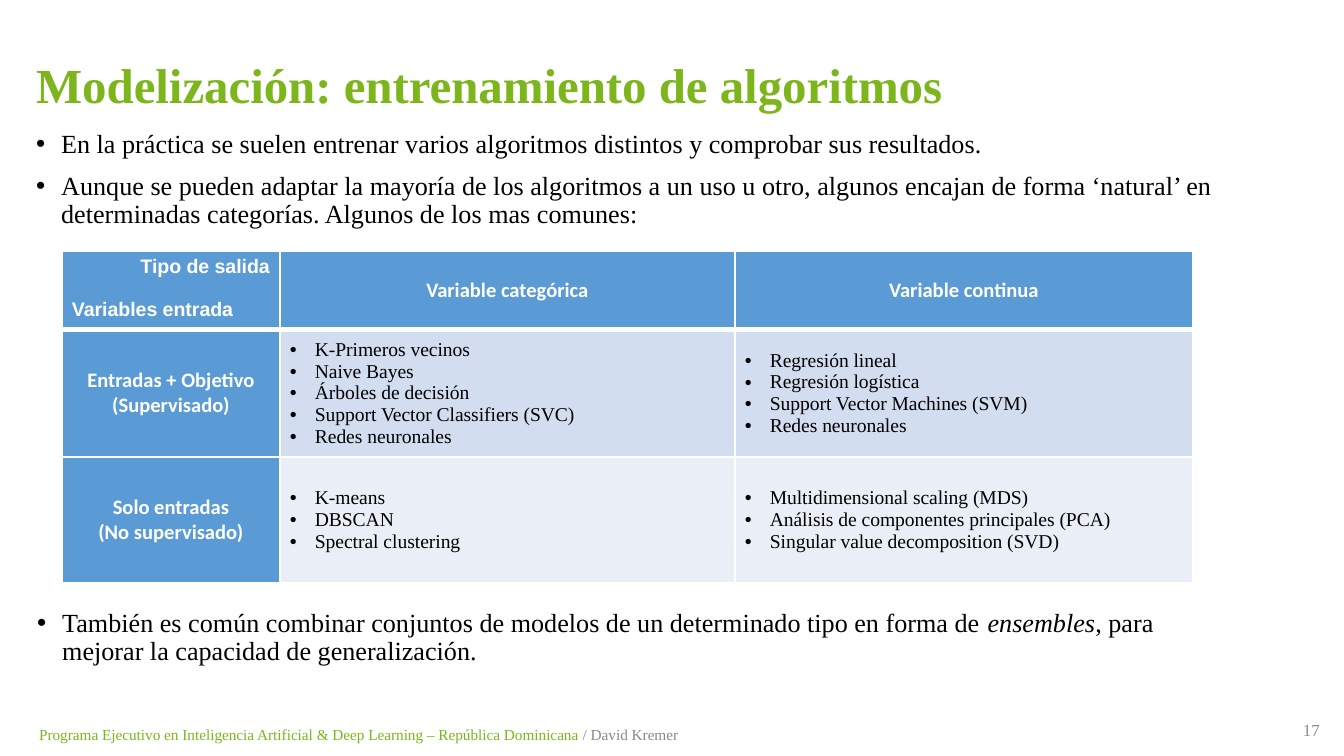
from lxml.etree import SubElement
from pptx import Presentation
from pptx.dml.color import RGBColor
from pptx.enum.text import MSO_ANCHOR, PP_ALIGN
from pptx.oxml import parse_xml
from pptx.oxml.ns import nsdecls, qn
from pptx.util import Emu, Pt

SERIF, SANS, HEADING = "Times New Roman", "Arial", "Calibri"
GREEN, BLUE, WHITE, BLACK = "7DB61C", "5B9BD5", "FFFFFF", "000000"


def px(pixels):
    return Emu(round(pixels * 914400 / 134.4))


def color(value):
    return RGBColor.from_string(value)


def assign(target, values):
    for name, value in values.items():
        setattr(target, name, value)


class SlideWriter:
    """Holds the text style and the current slide."""

    base = dict(name=SERIF, size=Pt(14), bold=False, italic=False, color=BLACK)
    bullet_indent = 25

    def __init__(self, slide):
        self.slide = slide

    def paragraph(self, frame, first, runs, style, layout, bullet=False):
        para = frame.paragraphs[0] if first else frame.add_paragraph()
        assign(para, layout)
        if bullet:
            props = para._p.get_or_add_pPr()
            indent = px(self.bullet_indent)
            props.set("marL", str(indent))
            props.set("indent", str(-indent))
            SubElement(props, qn("a:buFont"), typeface=SANS)
            SubElement(props, qn("a:buChar"), char="•")
        for text, changes in runs:
            font_values = {**self.base, **style, **changes}
            run = para.add_run()
            run.text = text
            run.font.color.rgb = color(font_values.pop("color"))
            assign(run.font, font_values)

    def text(self, box, paragraphs, style={}, layout={}, anchor=MSO_ANCHOR.TOP, bullet=False):
        frame = self.slide.shapes.add_textbox(*map(px, box)).text_frame
        assign(frame, dict(word_wrap=True, vertical_anchor=anchor))
        for i, runs in enumerate(paragraphs):
            self.paragraph(frame, i == 0, runs, style, layout, bullet)

    def table(self, box, widths, heights):
        graphic = self.slide.shapes.add_table(len(heights), len(widths), *map(px, box))
        for column, width in zip(graphic.table.columns, widths):
            column.width = px(width)
        for row, height in zip(graphic.table.rows, heights):
            row.height = px(height)
        graphic.height = px(box[3])
        return graphic.table

    def cell(self, cell, lines, fill, style, layouts, borders,
             anchor=MSO_ANCHOR.MIDDLE, bullet=False):
        assign(cell, dict(margin_left=px(10), margin_right=px(10), margin_top=px(5),
                          margin_bottom=px(5), vertical_anchor=anchor))
        cell.fill.solid()
        cell.fill.fore_color.rgb = color(fill)
        for i, line in enumerate(lines):
            layout = layouts[min(i, len(layouts) - 1)]
            self.paragraph(cell.text_frame, i == 0, [(line, {})], style, layout, bullet)
        props = cell._tc.get_or_add_tcPr()
        for i, (side, width) in enumerate(zip("LRTB", borders)):
            props.insert(i, parse_xml(
                f'<a:ln{side} {nsdecls("a")} w="{Pt(width)}"><a:solidFill>'
                f'<a:srgbClr val="{WHITE}"/></a:solidFill></a:ln{side}>'))


deck = Presentation()
deck.slide_width, deck.slide_height = px(1344), px(756)
writer = SlideWriter(deck.slides.add_slide(deck.slide_layouts[6]))

# Footer and page number
writer.text((26, 714, 968, 36),
            [[("Programa Ejecutivo en Inteligencia Artificial & Deep Learning – "
               "República Dominicana ", {}), ("/ David Kremer", dict(color="898989"))]],
            dict(size=Pt(8.2), color=GREEN), anchor=MSO_ANCHOR.BOTTOM)
writer.text((1261, 710, 72, 40), [[("17", {})]], dict(size=Pt(9), color="8C8C8C"),
            dict(alignment=PP_ALIGN.RIGHT), MSO_ANCHOR.MIDDLE)

# Title
writer.text((23, 15, 1306, 146), [[("Modelización: entrenamiento de algoritmos", {})]],
            dict(size=Pt(26.2), bold=True, color=GREEN), dict(line_spacing=0.9),
            MSO_ANCHOR.MIDDLE)

# Table of algorithms
rows = [
    (["Tipo de salida", "Variables entrada"], ["Variable categórica"], ["Variable continua"]),
    (["Entradas + Objetivo", "(Supervisado)"],
     ["K-Primeros vecinos", "Naive Bayes", "Árboles de decisión",
      "Support Vector Classifiers (SVC)", "Redes neuronales"],
     ["Regresión lineal", "Regresión logística", "Support Vector Machines (SVM)",
      "Redes neuronales"]),
    (["Solo entradas", "(No supervisado)"],
     ["K-means", "DBSCAN", "Spectral clustering"],
     ["Multidimensional scaling (MDS)", "Análisis de componentes principales (PCA)",
      "Singular value decomposition (SVD)"]),
]
row_fills = [BLUE, "D2DEEF", "EAEFF7"]
heading = dict(name=HEADING, size=Pt(11), bold=True, color=WHITE)
corner = dict(heading, name=SANS, size=Pt(10.5))
centered = [dict(alignment=PP_ALIGN.CENTER)]
diagonal = [dict(alignment=PP_ALIGN.RIGHT),
            dict(alignment=PP_ALIGN.LEFT, space_before=Pt(11.5))]

algorithms = writer.table((62, 251, 1131, 335), [218, 455, 458], [69, 126, 126])
for r, row in enumerate(rows):
    borders = (1, 1, 3 if r == 1 else 1, 3 if r == 0 else 1)
    for c, lines in enumerate(row):
        cell = algorithms.cell(r, c)
        if r == c == 0:
            writer.cell(cell, lines, BLUE, corner, diagonal, borders, MSO_ANCHOR.TOP)
        elif r == 0 or c == 0:
            writer.cell(cell, lines, BLUE, heading, centered, borders)
        else:
            writer.cell(cell, lines, row_fills[r], dict(size=Pt(10.5)), [{}], borders,
                        bullet=True)

# Bulleted remarks above and below the table
remark = dict(line_spacing=0.9, space_before=Pt(7.5))
writer.text((23, 124, 1210, 126), [
    [("En la práctica se suelen entrenar varios algoritmos distintos y comprobar "
      "sus resultados.", {})],
    [("Aunque se pueden adaptar la mayoría de los algoritmos a un uso u otro, algunos "
      "encajan de forma ‘natural’ en determinadas categorías. Algunos de los mas "
      "comunes:", {})],
], layout=remark, bullet=True)
writer.text((24, 603, 1210, 82), [
    [("También es común combinar conjuntos de modelos de un determinado tipo en forma de ", {}),
     ("ensembles", dict(italic=True)),
     (", para mejorar la capacidad de generalización.", {})],
], layout=remark, bullet=True)

deck.save("out.pptx")
